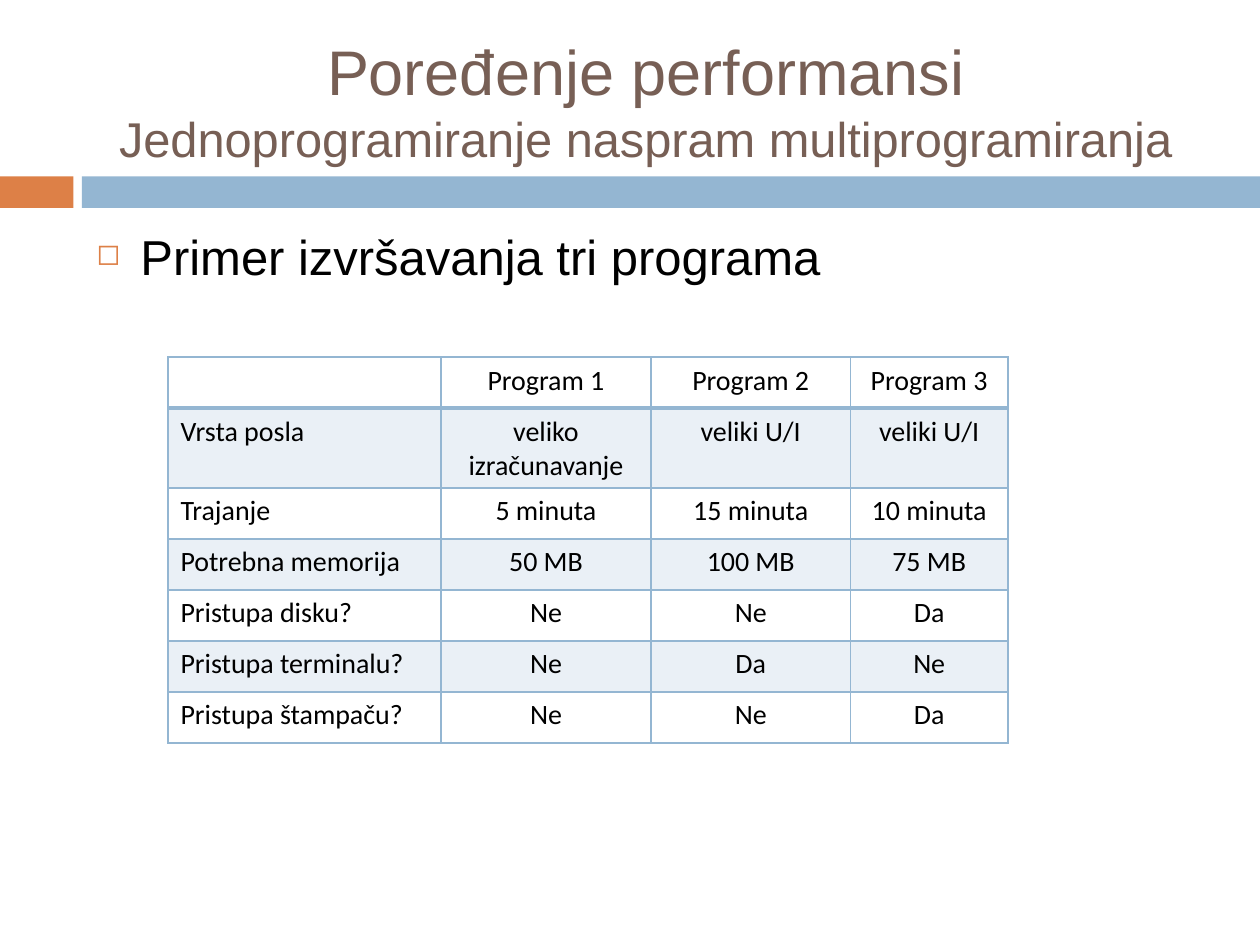
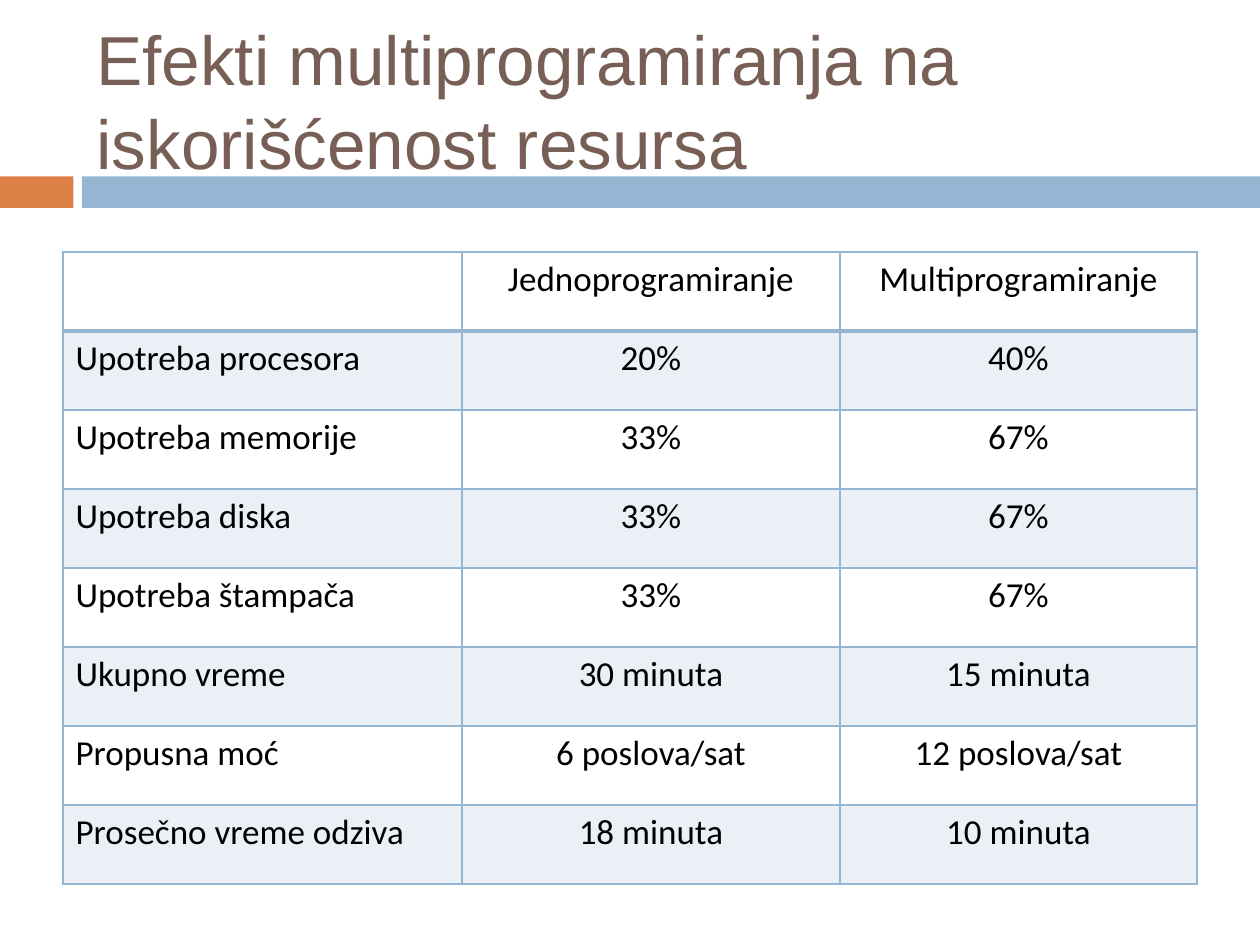
from pptx import Presentation
from pptx.dml.color import RGBColor as RGB
from pptx.enum.shapes import MSO_SHAPE as Kind
from pptx.enum.text import MSO_ANCHOR as Anchor, PP_ALIGN as Align
from pptx.oxml import parse_xml as make
from pptx.oxml.ns import nsdecls
from pptx.util import Emu, Inches, Pt

BLUE, RUST, BROWN = "94B6D2", "DD8047", "775F55"
PALE, BLACK = "EAF0F6", "000000"
NS = nsdecls("a")

deck = Presentation()
deck.slide_width, deck.slide_height = Inches(10), Inches(7.5)
UNIT = deck.slide_width / 120


def grid(*spans):
    return [Emu(round(n * UNIT)) for n in spans]


def write(frame, text, size=16, font="Arial", color=BLACK, align=Align.LEFT):
    para = frame.paragraphs[0]
    para.alignment = align
    if para.runs:
        para.add_line_break()
    run = para.add_run()
    run.text = text
    run.font.size, run.font.name = Pt(size), font
    run.font.color.rgb = RGB.from_string(color)


pages = [
    dict(
        title=[("Poređenje performansi", 36),
               ("Jednoprogramiranje naspram multiprogramiranja", 27.9)],
        align=Align.CENTER,
        point="Primer izvršavanja tri programa",
        spot=(16, 34), cols=(26, 20, 19, 15), row=4.86, size=16,
        data=[
            ("", "Program 1", "Program 2", "Program 3"),
            ("Vrsta posla", "veliko izračunavanje", "veliki U/I", "veliki U/I"),
            ("Trajanje", "5 minuta", "15 minuta", "10 minuta"),
            ("Potrebna memorija", "50 MB", "100 MB", "75 MB"),
            ("Pristupa disku?", "Ne", "Ne", "Da"),
            ("Pristupa terminalu?", "Ne", "Da", "Ne"),
            ("Pristupa štampaču?", "Ne", "Ne", "Da"),
        ]),
    dict(
        title=[("Efekti multiprogramiranja na iskorišćenost resursa", 39.6)],
        align=Align.LEFT,
        point=None,
        spot=(6, 24), cols=(38, 36, 34), row=7.53, size=20,
        data=[
            ("", "Jednoprogramiranje", "Multiprogramiranje"),
            ("Upotreba procesora", "20%", "40%"),
            ("Upotreba memorije", "33%", "67%"),
            ("Upotreba diska", "33%", "67%"),
            ("Upotreba štampača", "33%", "67%"),
            ("Ukupno vreme", "30 minuta", "15 minuta"),
            ("Propusna moć", "6 poslova/sat", "12 poslova/sat"),
            ("Prosečno vreme odziva", "18 minuta", "10 minuta"),
        ]),
]

for page in pages:
    slide = deck.slides.add_slide(deck.slide_layouts[6])

    for left, width, color in ((0, 7, RUST), (7.8, 112.2, BLUE)):
        band = slide.shapes.add_shape(Kind.RECTANGLE, *grid(left, 16.8, width, 3))
        band.shadow.inherit = False
        band.fill.solid()
        band.fill.fore_color.rgb = RGB.from_string(color)
        band.line.fill.background()

    head = slide.shapes.add_textbox(*grid(8, 3, 107, 13)).text_frame
    head.word_wrap, head.vertical_anchor = True, Anchor.MIDDLE
    for line, size in page["title"]:
        write(head, line, size=size, color=BROWN, align=page["align"])

    if page["point"]:
        body = slide.shapes.add_textbox(*grid(8, 21, 107, 7)).text_frame
        body.word_wrap = True
        props = body.paragraphs[0]._p.get_or_add_pPr()
        props.set("marL", str(Inches(0.35)))
        props.set("indent", str(-Inches(0.35)))
        for part in (f'<a:buClr {NS}><a:srgbClr val="{RUST}"/></a:buClr>',
                     f'<a:buSzPct {NS} val="60000"/>',
                     f'<a:buChar {NS} char="◻"/>'):
            props.append(make(part))
        write(body, page["point"], size=28)

    data, cols = page["data"], page["cols"]
    area = grid(*page["spot"], sum(cols), page["row"] * len(data))
    table = slide.shapes.add_table(len(data), len(cols), *area).table
    table.first_row = table.horz_banding = False
    for col, width in zip(table.columns, grid(*cols)):
        col.width = width
    for r, texts in enumerate(data):
        table.rows[r].height = grid(page["row"])[0]
        for c, text in enumerate(texts):
            cell = table.cell(r, c)
            props = cell._tc.get_or_add_tcPr()
            for side in "LRTB":
                thick = (r, side) in ((0, "B"), (1, "T"))
                props.append(make(
                    f'<a:ln{side} {NS} w="{Pt(2 if thick else 1)}"><a:solidFill>'
                    f'<a:srgbClr val="{BLUE}"/></a:solidFill></a:ln{side}>'))
            if r % 2:
                cell.fill.solid()
                cell.fill.fore_color.rgb = RGB.from_string(PALE)
            else:
                cell.fill.background()
            if text:
                write(cell.text_frame, text, size=page["size"], font="Calibri",
                      align=Align.CENTER if c else Align.LEFT)

deck.save("out.pptx")
